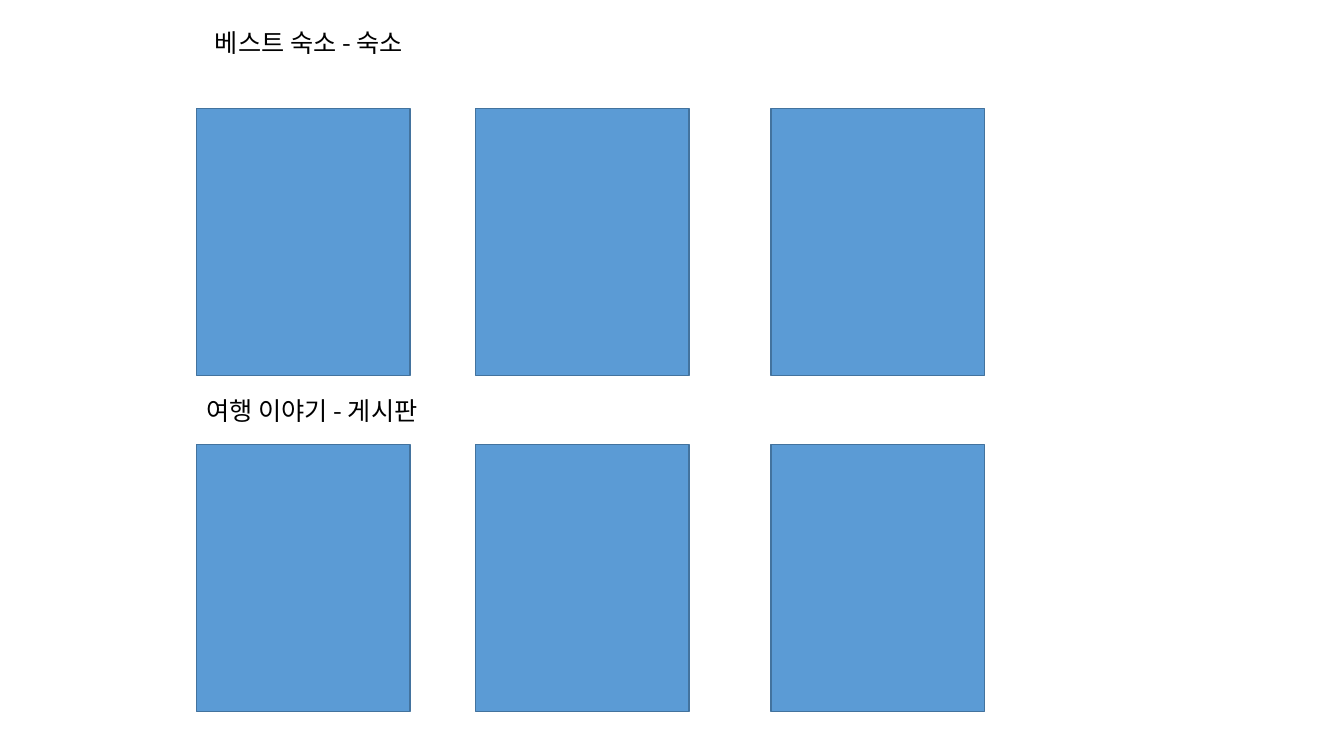
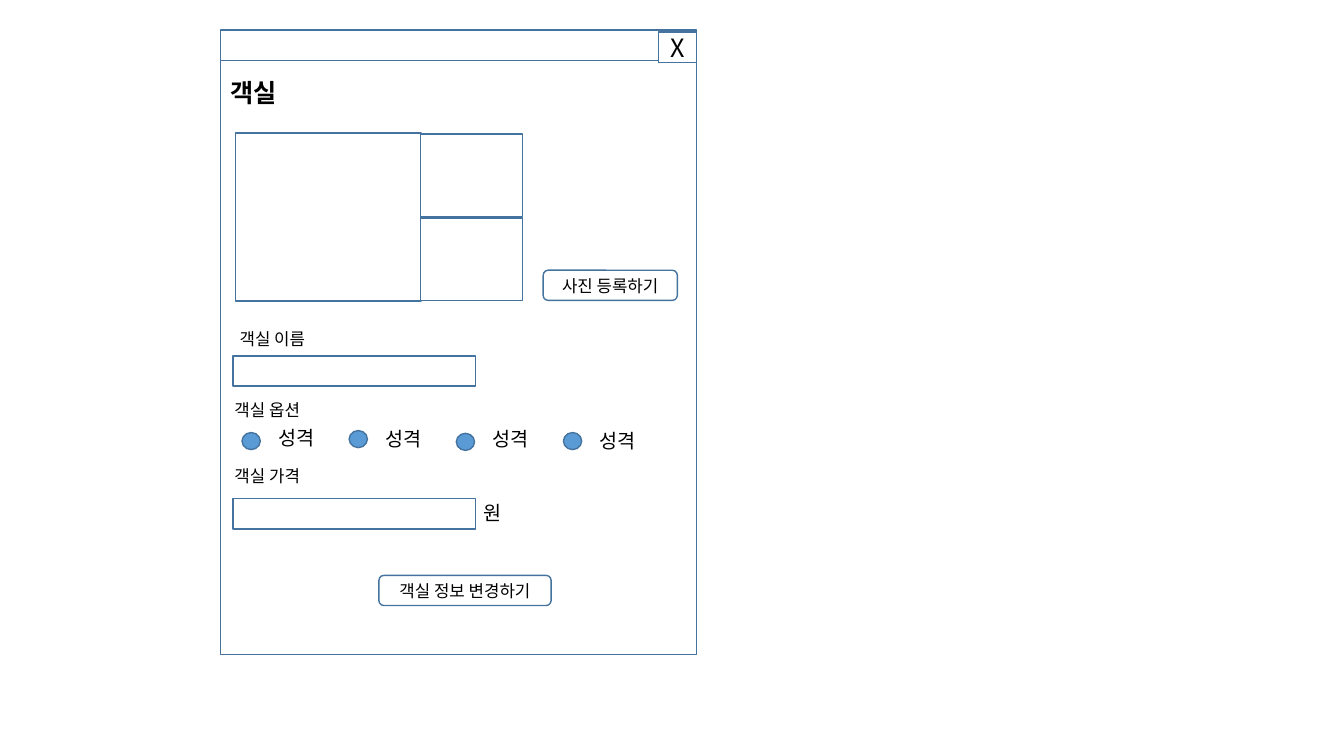
from dataclasses import dataclass

from lxml.etree import SubElement
from pptx import Presentation
from pptx.dml.color import RGBColor
from pptx.enum.shapes import MSO_SHAPE
from pptx.enum.text import MSO_ANCHOR, MSO_AUTO_SIZE, PP_ALIGN
from pptx.oxml.ns import qn
from pptx.util import Cm, Pt


@dataclass(frozen=True)
class Theme:
    font: str = "Noto Sans CJK KR"
    blue: RGBColor = RGBColor(0x5B, 0x9B, 0xD5)
    outline: RGBColor = RGBColor(0x43, 0x73, 0x9E)
    white: RGBColor = RGBColor(0xFF, 0xFF, 0xFF)
    black: RGBColor = RGBColor(0, 0, 0)
    heading: int = 18
    option: int = 14
    label: int = 12


@dataclass(frozen=True)
class Box:
    """Left, top, width and height in centimetres."""
    x: float
    y: float
    w: float
    h: float

    def lengths(self) -> tuple:
        return Cm(self.x), Cm(self.y), Cm(self.w), Cm(self.h)


@dataclass(frozen=True)
class Option:
    dot_y: float
    text_y: float


THEME = Theme()
TITLE_ONLY = 5


# Shared drawing functions
def write(sp, text: str, *, size: int, bold: bool = False,
          align=PP_ALIGN.LEFT, anchor=MSO_ANCHOR.TOP, grow: bool = False) -> None:
    tf = sp.text_frame
    tf.word_wrap = True
    tf.vertical_anchor = anchor
    tf.auto_size = MSO_AUTO_SIZE.SHAPE_TO_FIT_TEXT if grow else MSO_AUTO_SIZE.NONE
    p = tf.paragraphs[0]
    p.alignment = align
    r = p.add_run()
    r.text = text
    r.font.size = Pt(size)
    r.font.bold = bold
    r.font.color.rgb = THEME.black
    r.font.name = THEME.font
    SubElement(r.font._element, qn("a:ea"), typeface=THEME.font)


def add_title(s, text: str, box: Box, *, bold: bool = False) -> None:
    sp = s.shapes.title
    sp.left, sp.top, sp.width, sp.height = box.lengths()
    write(sp, text, size=THEME.heading, bold=bold, grow=True)
    # Bring the title in front of what is already drawn
    sp.element.getparent().append(sp.element)


def add_label(s, text: str, box: Box, *, size: int = THEME.label) -> None:
    write(s.shapes.add_textbox(*box.lengths()), text, size=size, grow=True)


def add_box(s, box: Box, *, kind=MSO_SHAPE.RECTANGLE, fill: RGBColor = THEME.white,
            text: str = "", size: int = THEME.label) -> None:
    sp = s.shapes.add_shape(kind, *box.lengths())
    sp.shadow.inherit = False
    sp.fill.solid()
    sp.fill.fore_color.rgb = fill
    sp.line.color.rgb = THEME.outline
    sp.line.width = Pt(1)
    if text:
        write(sp, text, size=size, align=PP_ALIGN.CENTER, anchor=MSO_ANCHOR.MIDDLE)


# Slide 1: two rows of cards
def build_cards(prs) -> None:
    s = prs.slides.add_slide(prs.slide_layouts[TITLE_ONLY])
    for y in (2.74, 11.2):
        for x in (4.95, 11.99, 19.43):
            add_box(s, Box(x, y, 5.38, 6.73), fill=THEME.blue)
    add_title(s, "베스트 숙소 - 숙소", Box(5.16, 0.56, 9.04, 1.02))
    add_label(s, "여행 이야기 - 게시판", Box(4.95, 9.83, 7.01, 1.02), size=THEME.heading)


# Slide 2: room form in a window
def build_room_form(prs) -> None:
    s = prs.slides.add_slide(prs.slide_layouts[TITLE_ONLY])
    row_h = 0.76

    # Window, title bar and close button
    add_box(s, Box(5.56, 1.5, 11.99, 14.99))
    add_box(s, Box(5.56, 0.76, 11.99, row_h))
    add_box(s, Box(16.59, 0.81, 0.97, row_h), text="X", size=THEME.heading)
    add_title(s, "객실", Box(5.56, 1.83, 5.33, 1.02), bold=True)

    # Photo frames
    add_box(s, Box(5.94, 3.35, 4.67, 4.24))
    for y in (3.38, 5.49):
        add_box(s, Box(10.6, y, 2.57, 2.08))

    # Buttons
    for text, box in (("사진 등록하기", Box(13.69, 6.81, 3.38, row_h)),
                      ("객실 정보 변경하기", Box(9.55, 14.5, 4.34, row_h))):
        add_box(s, box, kind=MSO_SHAPE.ROUNDED_RECTANGLE, text=text)

    # Field labels and input fields
    for text, x, y in (("객실 이름", 5.79, 8.15),
                       ("객실 옵션", 5.66, 9.96),
                       ("객실 가격", 5.66, 11.61)):
        add_label(s, text, Box(x, y, 3.81, row_h))
    for y in (8.97, 12.57):
        add_box(s, Box(5.87, y, 6.12, row_h))
    add_label(s, "원", Box(11.94, 12.5, 1.5, 0.86), size=THEME.option)

    # Room options
    options = (Option(10.9, 10.62), Option(10.85, 10.64),
               Option(10.92, 10.64), Option(10.9, 10.69))
    for i, option in enumerate(options):
        x = 6.1 + i * 2.7
        add_box(s, Box(x, option.dot_y, 0.46, 0.43), kind=MSO_SHAPE.OVAL, fill=THEME.blue)
        add_label(s, "성격", Box(x + 0.66, option.text_y, 1.5, 0.86), size=THEME.option)


def main() -> None:
    prs = Presentation()
    prs.slide_width, prs.slide_height = Cm(33.87), Cm(19.05)
    build_cards(prs)
    build_room_form(prs)
    prs.save("out.pptx")


if __name__ == "__main__":
    main()
